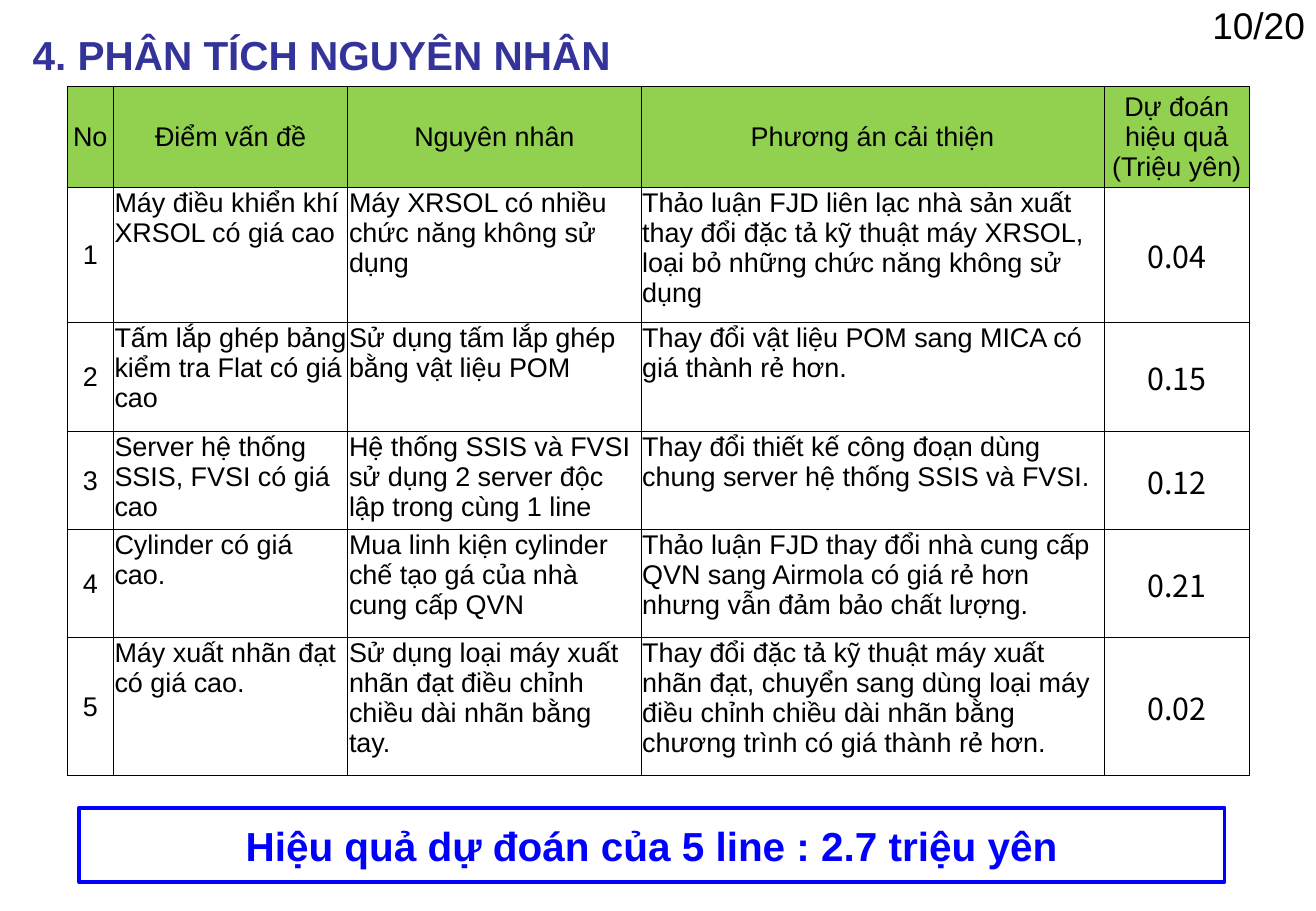
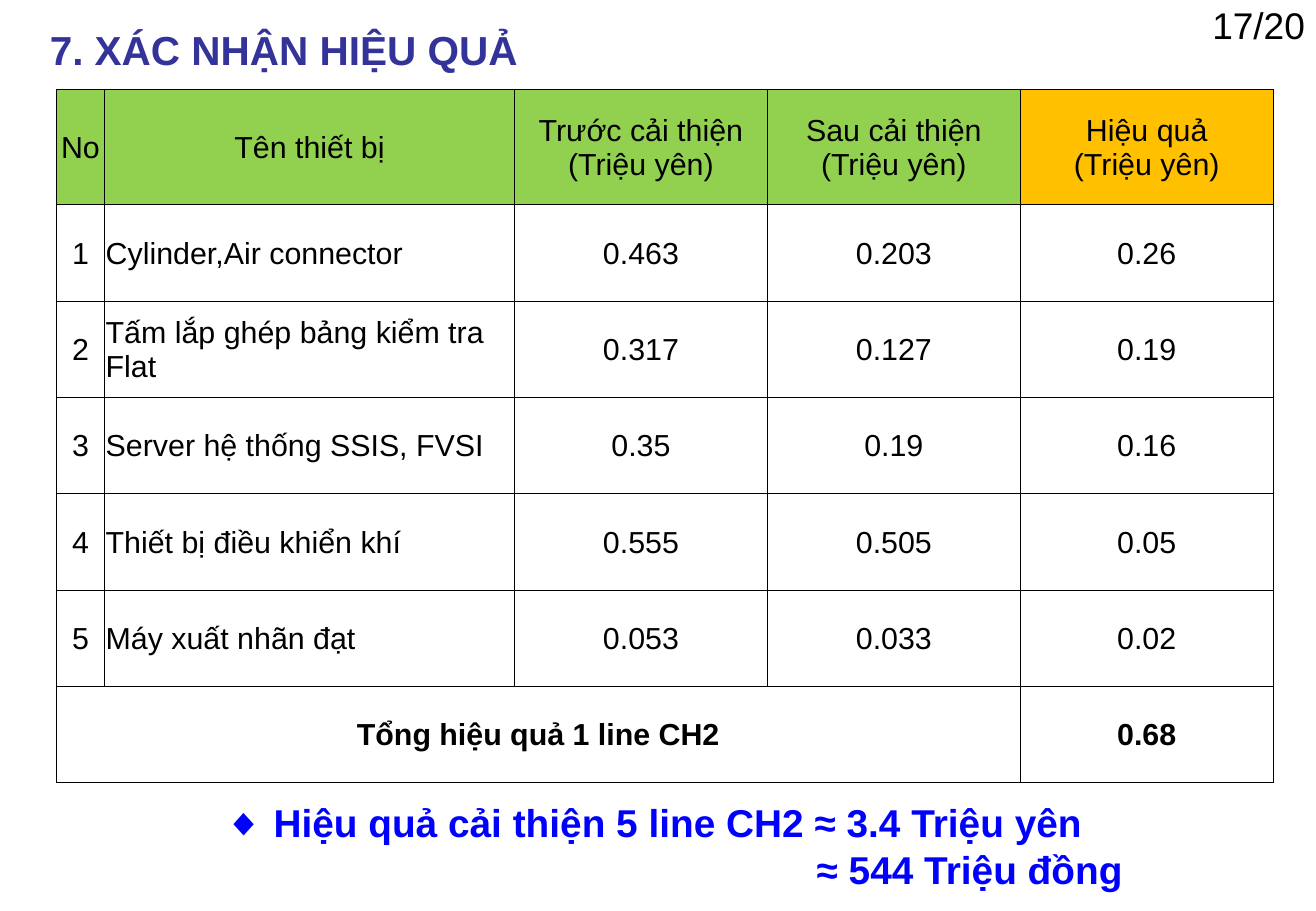
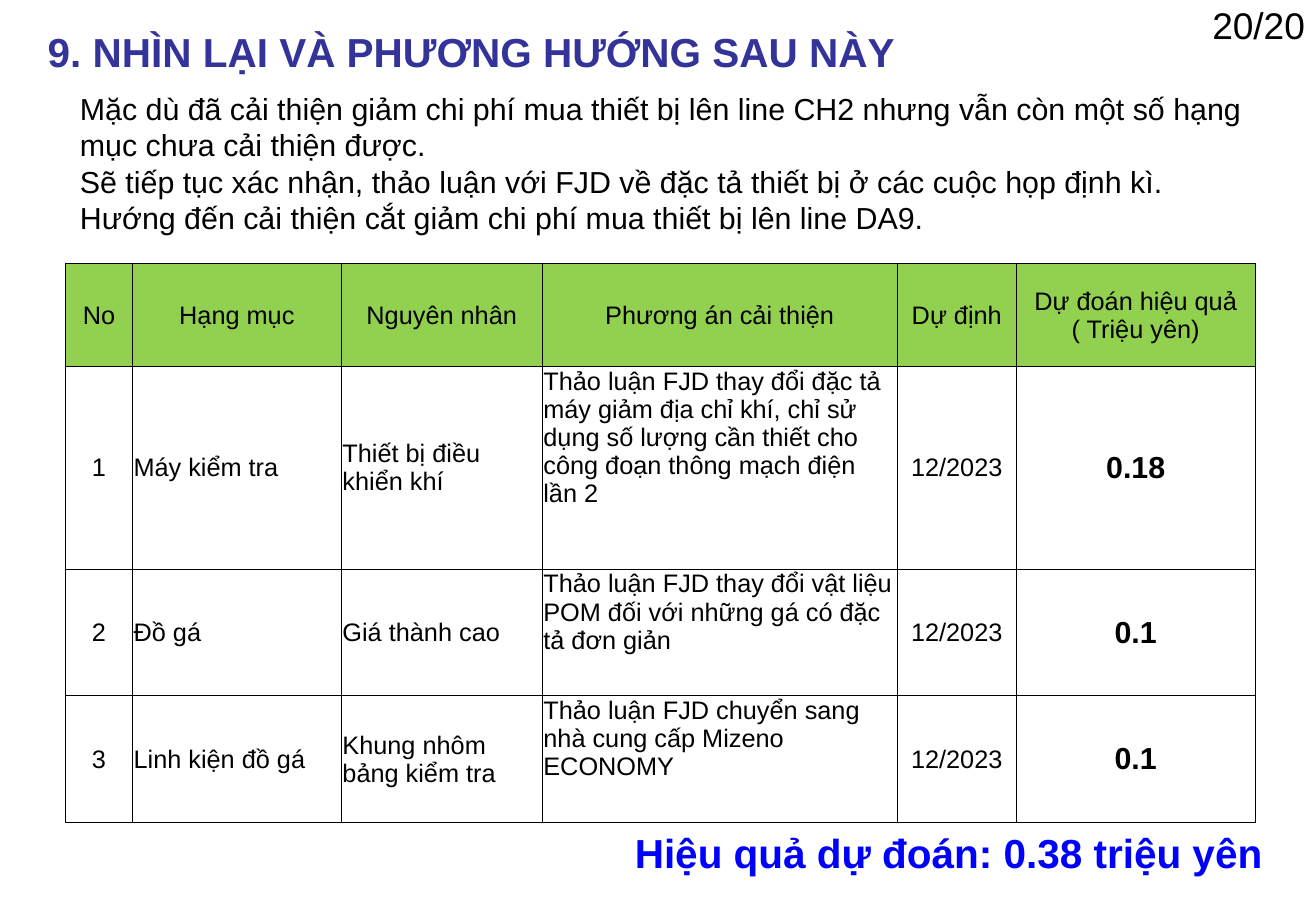
"""Build three report slides: causes, confirmed effect and next steps."""
from lxml import etree
from pptx import Presentation
from pptx import util as u
from pptx.dml.color import RGBColor
from pptx.enum import shapes, text
from pptx.oxml import ns

Pt = u.Pt
LEFT, CENTER = text.PP_ALIGN.LEFT, text.PP_ALIGN.CENTER
TOP, MIDDLE = text.MSO_ANCHOR.TOP, text.MSO_ANCHOR.MIDDLE

COLORS = {"title": "333399", "accent": "0000FF", "body": "000000",
          "header": "92D050", "result": "FFC000", "cell": "FFFFFF"}
BASE = {"name": "Arial", "size": 18, "bold": False, "color": "body"}
TITLE = {"size": 24, "bold": True, "color": "title"}
NUMBER = {"size": 22}
CLAIM = {"size": 24, "bold": True, "color": "accent"}
FIGURE = {"name": "Noto Sans CJK JP", "size": 18}
STRONG = {"size": 18, "bold": True}

CAUSES = {
    "place": (39.8, 51), "format": {"size": 16},
    "columns": [
        ("No", 27.4, CENTER, MIDDLE, {}),
        ("Điểm vấn đề", 139, LEFT, TOP, {}),
        ("Nguyên nhân", 173.8, LEFT, TOP, {}),
        ("Phương án cải thiện", 274.4, LEFT, TOP, {}),
        ("Dự đoán hiệu quả\n(Triệu yên)", 86.2, CENTER, MIDDLE, FIGURE)],
    "heights": [60, 80, 64.6, 58, 64, 81.8],
    "rows": [
        ("1", "Máy điều khiển khí XRSOL có giá cao",
         "Máy XRSOL có nhiều chức năng không sử dụng",
         "Thảo luận FJD liên lạc nhà sản xuất thay đổi đặc tả kỹ thuật máy XRSOL, "
         "loại bỏ những chức năng không sử dụng", "0.04"),
        ("2", "Tấm lắp ghép bảng kiểm tra Flat có giá cao",
         "Sử dụng tấm lắp ghép bằng vật liệu POM",
         "Thay đổi vật liệu POM sang MICA có giá thành rẻ hơn.", "0.15"),
        ("3", "Server hệ thống SSIS, FVSI có giá cao",
         "Hệ thống SSIS và FVSI sử dụng 2 server độc lập trong cùng 1 line",
         "Thay đổi thiết kế công đoạn dùng chung server hệ thống SSIS và FVSI.", "0.12"),
        ("4", "Cylinder có giá cao.",
         "Mua linh kiện cylinder chế tạo gá của nhà cung cấp QVN",
         "Thảo luận FJD thay đổi nhà cung cấp QVN sang Airmola có giá rẻ hơn "
         "nhưng vẫn đảm bảo chất lượng.", "0.21"),
        ("5", "Máy xuất nhãn đạt có giá cao.",
         "Sử dụng loại máy xuất nhãn đạt điều chỉnh chiều dài nhãn bằng tay.",
         "Thay đổi đặc tả kỹ thuật máy xuất nhãn đạt, chuyển sang dùng loại máy "
         "điều chỉnh chiều dài nhãn bằng chương trình có giá thành rẻ hơn.", "0.02")]}

EFFECT = {
    "place": (33.4, 53.2), "format": {"size": 18},
    "columns": [
        ("No", 28.6, CENTER, MIDDLE, {}),
        ("Tên thiết bị", 243, LEFT, MIDDLE, {}),
        ("Trước cải thiện\n(Triệu yên)", 149.9, CENTER, MIDDLE, {}),
        ("Sau cải thiện\n(Triệu yên)", 149.9, CENTER, MIDDLE, {}),
        ("Hiệu quả\n(Triệu yên)", 149.9, CENTER, MIDDLE, {})],
    "heights": [68.2] + [57.1] * 6,
    "rows": [
        ("1", "Cylinder,Air connector", "0.463", "0.203", "0.26"),
        ("2", "Tấm lắp ghép bảng kiểm tra Flat", "0.317", "0.127", "0.19"),
        ("3", "Server hệ thống SSIS, FVSI", "0.35", "0.19", "0.16"),
        ("4", "Thiết bị điều khiển khí", "0.555", "0.505", "0.05"),
        ("5", "Máy xuất nhãn đạt", "0.053", "0.033", "0.02")],
    "total": ("Tổng hiệu quả 1 line CH2", "0.68"),
    "last_header": "result"}

NEXT_STEPS = {
    "place": (38.8, 156.2), "format": {"size": 15},
    "columns": [
        ("No", 39.7, CENTER, MIDDLE, {}),
        ("Hạng mục", 123.8, LEFT, MIDDLE, {}),
        ("Nguyên nhân", 119.1, LEFT, MIDDLE, {}),
        ("Phương án cải thiện", 210.5, LEFT, TOP, {}),
        ("Dự định", 70.5, CENTER, MIDDLE, {}),
        ("Dự đoán hiệu quả\n( Triệu yên)", 141.6, CENTER, MIDDLE, STRONG)],
    "heights": [60.8, 120.3, 75, 75],
    "rows": [
        ("1", "Máy kiểm tra", "Thiết bị điều khiển khí",
         "Thảo luận FJD thay đổi đặc tả máy giảm địa chỉ khí, chỉ sử dụng số lượng "
         "cần thiết cho công đoạn thông mạch điện lần 2", "12/2023", "0.18"),
        ("2", "Đồ gá", "Giá thành cao",
         "Thảo luận FJD thay đổi vật liệu POM đối với những gá có đặc tả đơn giản",
         "12/2023", "0.1"),
        ("3", "Linh kiện đồ gá", "Khung nhôm bảng kiểm tra",
         "Thảo luận FJD chuyển sang nhà cung cấp Mizeno ECONOMY", "12/2023", "0.1")]}

SLIDES = [
    {"number": "10/20", "title": "4. PHÂN TÍCH NGUYÊN NHÂN",
     "title_place": (-4.3, 14.4, 390, 36), "table": CAUSES,
     "frame": ("Hiệu quả dự đoán của 5 line : 2.7 triệu yên", (46.8, 478.8, 679, 44))},
    {"number": "17/20", "title": "7. XÁC NHẬN HIỆU QUẢ",
     "title_place": (13.7, 11.5, 309, 36), "table": EFFECT,
     "texts": [("◆ Hiệu quả cải thiện 5 line CH2 ≈ 3.4 Triệu yên\n≈ 544 Triệu đồng",
                (0, 470, 775, 63), CENTER, {**CLAIM, "size": 23}, 477)]},
    {"number": "20/20", "title": "9. NHÌN LẠI VÀ PHƯƠNG HƯỚNG SAU NÀY",
     "title_place": (3.6, 12.5, 551.5, 36), "table": NEXT_STEPS,
     "texts": [("Mặc dù đã cải thiện giảm chi phí mua thiết bị lên line CH2 nhưng vẫn còn "
                "một số hạng mục chưa cải thiện được.\n"
                "Sẽ tiếp tục xác nhận, thảo luận với FJD về đặc tả thiết bị ở các cuộc họp "
                "định kì. Hướng đến cải thiện cắt giảm chi phí mua thiết bị lên line DA9.",
                (40.3, 49.7, 703.4, 94.3), LEFT, {}, None),
               ("Hiệu quả dự đoán: 0.38 triệu yên",
                (365, 487.4, 394.6, 36), CENTER, CLAIM, None)]},
]


def rgb(key):
    return RGBColor.from_string(COLORS[key])


def write(frame, words, align, style):
    look = {**BASE, **style}
    color = look.pop("color")
    look["size"] = Pt(look["size"])
    frame.text = words
    frame.word_wrap = True
    for para in frame.paragraphs:
        para.alignment = align
        for span in para.runs:
            for key, value in look.items():
                setattr(span.font, key, value)
            span.font.color.rgb = rgb(color)


def add_text(page, words, place, align, style, last_indent=None):
    box = page.shapes.add_textbox(*map(Pt, place))
    write(box.text_frame, words, align, style)
    if last_indent:
        last = box.text_frame.paragraphs[-1]
        last.alignment = LEFT
        last._p.get_or_add_pPr().set("marL", str(Pt(last_indent)))
    return box


def add_frame(page, words, place):
    box = page.shapes.add_shape(shapes.MSO_SHAPE.RECTANGLE, *map(Pt, place))
    box.shadow.inherit = False
    box.fill.background()
    box.line.color.rgb = rgb("accent")
    box.line.width = Pt(2.25)
    box.text_frame.vertical_anchor = MIDDLE
    write(box.text_frame, words, CENTER, CLAIM)


def add_borders(cell):
    props = cell._tc.get_or_add_tcPr()
    for order, side in enumerate(("lnL", "lnR", "lnT", "lnB")):
        line = etree.Element(ns.qn("a:" + side), w=str(Pt(0.5)))
        fill = etree.SubElement(line, ns.qn("a:solidFill"))
        etree.SubElement(fill, ns.qn("a:srgbClr"), val=COLORS["body"])
        props.insert(order, line)


def fill_cell(cell, words, align, anchor, style, color):
    cell.margin_left = cell.margin_right = cell.margin_top = Pt(0.72)
    cell.margin_bottom = 0
    cell.vertical_anchor = anchor
    cell.fill.solid()
    cell.fill.fore_color.rgb = rgb(color)
    write(cell.text_frame, words, align, style)
    add_borders(cell)


def add_table(page, data):
    columns, heights, base = data["columns"], data["heights"], data["format"]
    widths = [column[1] for column in columns]
    size = (sum(widths), sum(heights))
    table = page.shapes.add_table(len(heights), len(columns),
                                  *map(Pt, data["place"] + size)).table
    table.first_row = table.horz_banding = False
    for column, width in zip(table.columns, widths):
        column.width = Pt(width)
    for row, height in zip(table.rows, heights):
        row.height = Pt(height)
    last = len(columns) - 1
    for c, (header, _, align, anchor, style) in enumerate(columns):
        color = data.get("last_header", "header") if c == last else "header"
        fill_cell(table.cell(0, c), header, CENTER, MIDDLE, base, color)
        for r, row in enumerate(data["rows"], 1):
            fill_cell(table.cell(r, c), row[c], align, anchor, {**base, **style}, "cell")
    if "total" in data:
        bottom = len(heights) - 1
        label, amount = data["total"]
        words = [label] + [""] * (last - 1) + [amount]
        table.cell(bottom, 0).merge(table.cell(bottom, last - 1))
        for c, word in enumerate(words):
            fill_cell(table.cell(bottom, c), word, CENTER, MIDDLE, STRONG, "cell")


def add_page(deck, content):
    page = deck.slides.add_slide(deck.slide_layouts[6])
    number = add_text(page, content["number"], (712, 0, 68, 29), CENTER, NUMBER).text_frame
    number.vertical_anchor = MIDDLE
    for side in ("left", "right", "top", "bottom"):
        setattr(number, "margin_" + side, 0)
    add_text(page, content["title"], content["title_place"], CENTER, TITLE)
    for item in content.get("texts", []):
        add_text(page, *item)
    add_table(page, content["table"])
    if "frame" in content:
        add_frame(page, *content["frame"])


def main():
    deck = Presentation()
    deck.slide_width, deck.slide_height = Pt(780), Pt(540)
    for content in SLIDES:
        add_page(deck, content)
    deck.save("out.pptx")


if __name__ == "__main__":
    main()
